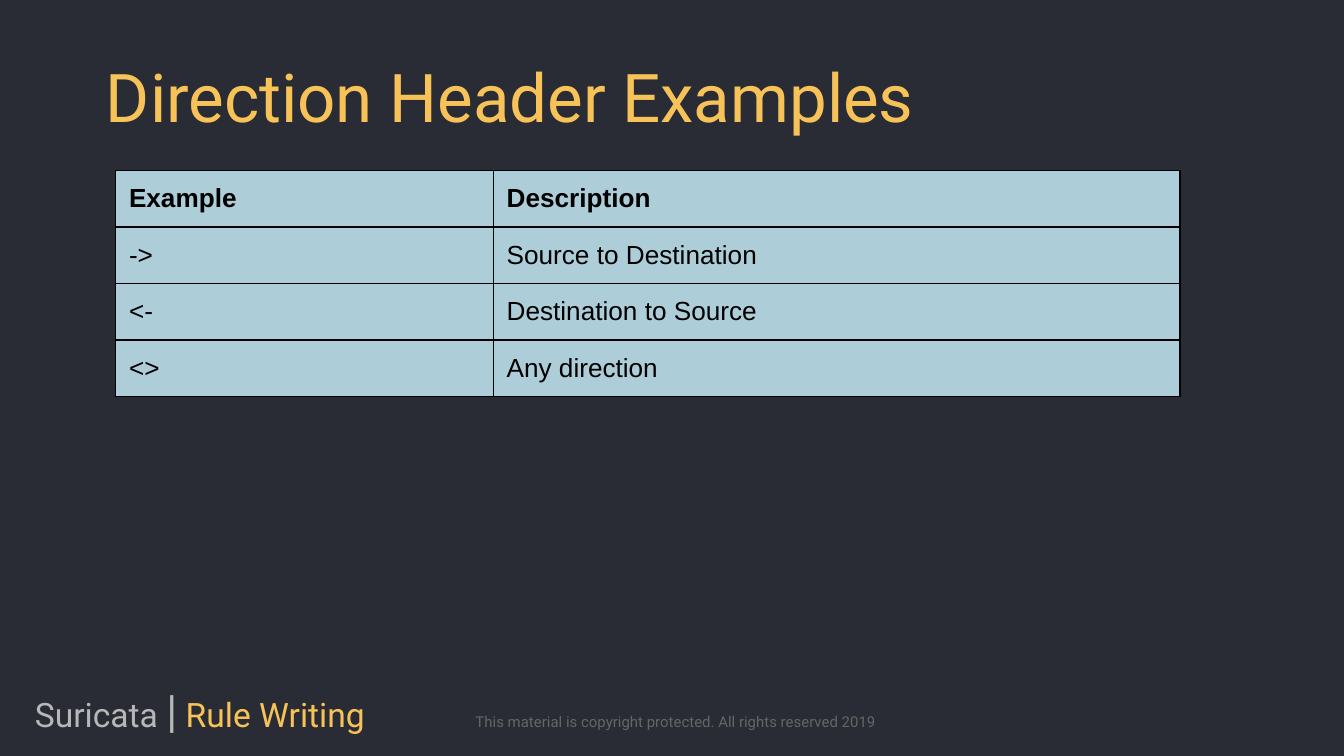
from lxml import etree
from pptx import Presentation
from pptx.dml.color import RGBColor
from pptx.enum.text import MSO_ANCHOR, PP_ALIGN
from pptx.oxml.ns import qn
from pptx.util import Inches, Pt

LEFT, RIGHT = PP_ALIGN.LEFT, PP_ALIGN.RIGHT
TOP, MIDDLE = MSO_ANCHOR.TOP, MSO_ANCHOR.MIDDLE

SLIDE_W = 10
SLIDE_H = SLIDE_W * 9 / 16
COLORS = {
    "background": "292C34",
    "accent": "F7C359",
    "light": "B7B7B7",
    "muted": "666666",
    "cell": "ADCDD8",
    "ink": "000000",
}
COLUMN_WIDTHS = [2.81, 5.11]
ROW_HEIGHT = 0.42
ROWS = [
    ("Example", "Description"),
    ("->", "Source to Destination"),
    ("<-", "Destination to Source"),
    ("<>", "Any direction"),
]


def rgb(name):
    return RGBColor.from_string(COLORS[name])


def add_run(p, text, size=14, color="ink", font="Roboto", bold=False):
    r = p.add_run()
    r.text = text
    r.font.name = font
    r.font.size = Pt(size)
    r.font.bold = bold
    r.font.color.rgb = rgb(color)


def set_margins(target, side, top, bottom):
    target.margin_left = target.margin_right = Inches(side)
    target.margin_top = Inches(top)
    target.margin_bottom = Inches(bottom)


def add_text_box(s, box, margins=(0.1, 0.1, 0.1), anchor=TOP, align=LEFT):
    """Add an empty text box and return its first paragraph."""
    tf = s.shapes.add_textbox(*map(Inches, box)).text_frame
    tf.word_wrap = True
    tf.vertical_anchor = anchor
    set_margins(tf, *margins)
    p = tf.paragraphs[0]
    p.alignment = align
    return p


def set_borders(cell, width=0.75):
    tc_pr = cell._tc.get_or_add_tcPr()
    for i, side in enumerate(("lnL", "lnR", "lnT", "lnB")):
        line = etree.Element(qn(f"a:{side}"), w=str(Pt(width)))
        fill = etree.SubElement(line, qn("a:solidFill"))
        etree.SubElement(fill, qn("a:srgbClr"), val=COLORS["ink"])
        tc_pr.insert(i, line)  # borders come before the fill


def add_direction_table(s, left, top):
    size = (sum(COLUMN_WIDTHS), ROW_HEIGHT * len(ROWS))
    frame = s.shapes.add_table(len(ROWS), len(COLUMN_WIDTHS),
                               *map(Inches, (left, top, *size)))
    table = frame.table
    table.horz_banding = False
    for column, width in zip(table.columns, COLUMN_WIDTHS):
        column.width = Inches(width)
    for i, texts in enumerate(ROWS):
        table.rows[i].height = Inches(ROW_HEIGHT)
        for j, text in enumerate(texts):
            cell = table.cell(i, j)
            cell.fill.solid()
            cell.fill.fore_color.rgb = rgb("cell")
            set_margins(cell, 0.1, 0.1, 0.08)  # keeps the row height
            set_borders(cell)
            add_run(cell.text_frame.paragraphs[0], text,
                    font="Arial", bold=i == 0)


def add_footer(s):
    # Course name
    p = add_text_box(s, (0.19, 5.04, 4.26, 0.43), margins=(0.07, 0.04, 0.04))
    add_run(p, "Suricata ", size=18, color="light")
    add_run(p, "|", size=24, color="light")
    add_run(p, " ", size=18, color="light")
    add_run(p, "Rule Writing", size=18, color="accent")

    # Copyright line
    p = add_text_box(s, (3.38, 5.2, 3.24, 0.27), margins=(0.1, 0.1, 0),
                     align=RIGHT)
    add_run(p, "This material is copyright protected. All rights reserved 2019",
            size=8, color="muted")


def add_title(s, text):
    p = add_text_box(s, (0.69, 0.34, 8.62, 0.82), anchor=MIDDLE)
    p.line_spacing = 0.9
    add_run(p, text, size=36, color="accent")


def main():
    prs = Presentation()
    prs.slide_width, prs.slide_height = Inches(SLIDE_W), Inches(SLIDE_H)
    s = prs.slides.add_slide(prs.slide_layouts[6])
    s.background.fill.solid()
    s.background.fill.fore_color.rgb = rgb("background")

    add_footer(s)
    add_title(s, "Direction Header Examples")
    add_direction_table(s, 0.86, 1.27)
    prs.save("out.pptx")


if __name__ == "__main__":
    main()
